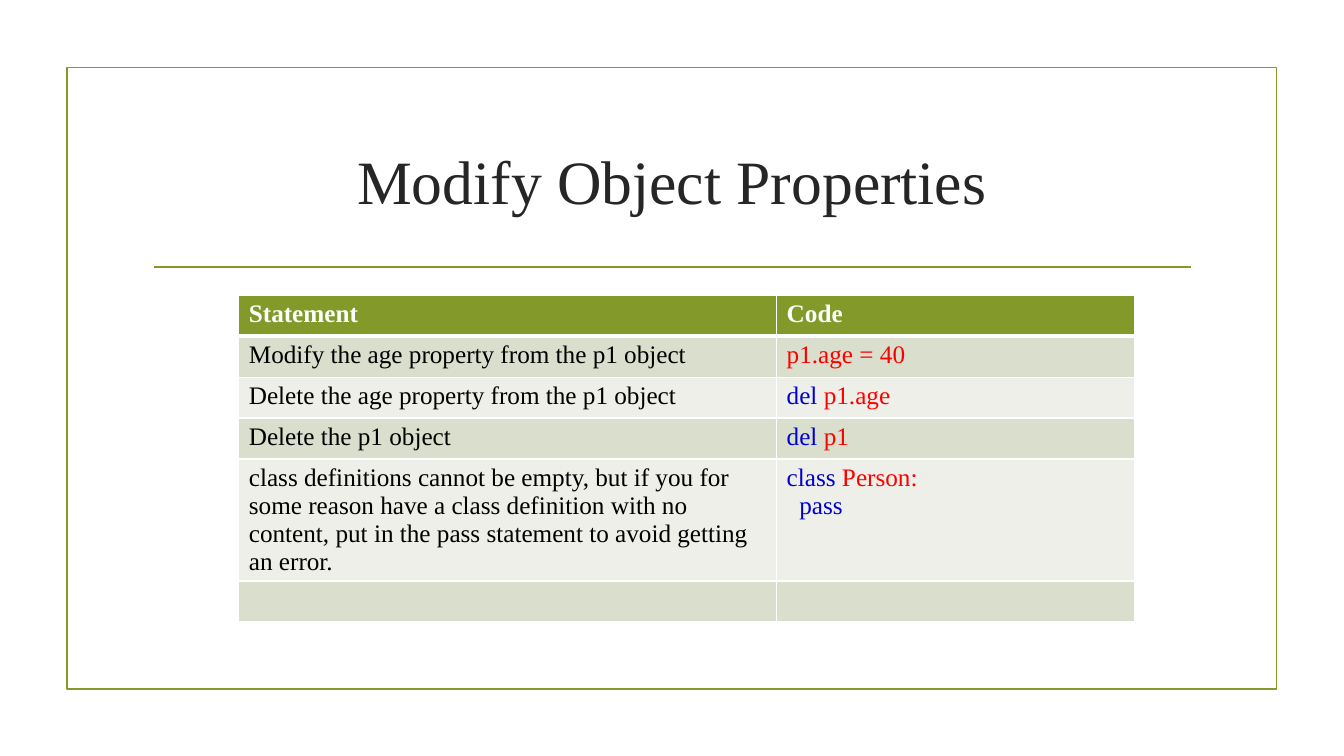
from lxml.etree import SubElement
from pptx import Presentation
from pptx.dml.color import RGBColor
from pptx.enum.shapes import MSO_CONNECTOR, MSO_SHAPE
from pptx.enum.text import MSO_ANCHOR, PP_ALIGN
from pptx.oxml.ns import qn
from pptx.util import Pt

GREEN = RGBColor(0x83, 0x99, 0x2A)
SAGE = RGBColor(0xD9, 0xDE, 0xCD)
PALE = RGBColor(0xED, 0xEF, 0xE8)
DARK = RGBColor(0x26, 0x26, 0x26)
WHITE = RGBColor(0xFF, 0xFF, 0xFF)
BLACK = RGBColor(0, 0, 0)
RED = RGBColor(0xFF, 0, 0)
BLUE = RGBColor(0, 0, 0xCD)
FACE = "Times New Roman"


def style(font, size, color, bold=False):
    font.name = FACE
    font.size = Pt(size)
    font.bold = bold
    font.color.rgb = color


def border(cell, side, width):
    line = SubElement(cell._tc.get_or_add_tcPr(), qn("a:" + side), w=str(Pt(width)))
    fill = SubElement(line, qn("a:solidFill"))
    SubElement(fill, qn("a:srgbClr"), val=str(WHITE))


deck = Presentation()
deck.slide_width, deck.slide_height = Pt(960), Pt(540)
slide = deck.slides.add_slide(deck.slide_layouts[5])
shapes = slide.shapes

# Frame
frame = shapes.add_shape(MSO_SHAPE.RECTANGLE, Pt(47.8), Pt(48.2), Pt(864), Pt(444.2))
frame.shadow.inherit = False
frame.fill.background()
frame.line.color.rgb = GREEN
frame.line.width = Pt(1.25)

# Rule under the title
rule = shapes.add_connector(MSO_CONNECTOR.STRAIGHT, Pt(110.2), Pt(190.8), Pt(850.4), Pt(190.8))
rule.line.color.rgb = GREEN
rule.line.width = Pt(1.25)
SubElement(rule._element.spPr, qn("a:effectLst"))

# Title
title = shapes.title
title.left, title.top, title.width, title.height = Pt(102.2), Pt(77), Pt(756), Pt(103)
title.text_frame.text = "Modify Object Properties"
title.text_frame.vertical_anchor = MSO_ANCHOR.MIDDLE
head = title.text_frame.paragraphs[0]
head.alignment = PP_ALIGN.CENTER
style(head.runs[0].font, 44, DARK)

# Table text: each cell is a list of coloured parts, None breaks the line
rows = [
    ([("Statement", WHITE)], [("Code", WHITE)]),
    ([("Modify the age property from the p1 object", BLACK)], [("p1.age = 40", RED)]),
    ([("Delete the age property from the p1 object", BLACK)], [("del", BLUE), (" p1.age", RED)]),
    ([("Delete the p1 object", BLACK)], [("del", BLUE), (" p1", RED)]),
    ([("class definitions cannot be empty, but if you for some reason have a class "
       "definition with no content, put in the pass statement to avoid getting an error.", BLACK)],
     [("class", BLUE), (" Person:", RED), None, ("  ", RED), ("pass", BLUE)]),
    ([], []),
]

# Table
table = shapes.add_table(len(rows), 2, Pt(170.6), Pt(211), Pt(640), Pt(233.2)).table
table.columns[0].width, table.columns[1].width = Pt(384.2), Pt(255.8)
for r, row in enumerate(rows):
    table.rows[r].height = Pt(87.2 if r == 4 else 29.2)
    for c, parts in enumerate(row):
        cell = table.cell(r, c)
        border(cell, "lnL", 1)
        border(cell, "lnR", 1)
        border(cell, "lnT", 3 if r == 1 else 1)
        border(cell, "lnB", 3 if r == 0 else 1)
        cell.fill.solid()
        cell.fill.fore_color.rgb = GREEN if r == 0 else SAGE if r % 2 else PALE
        para = cell.text_frame.paragraphs[0]
        for part in parts:
            if part is None:
                para.add_line_break()
                continue
            run = para.add_run()
            run.text, color = part
            style(run.font, 18, color, r == 0)

deck.save("out.pptx")
